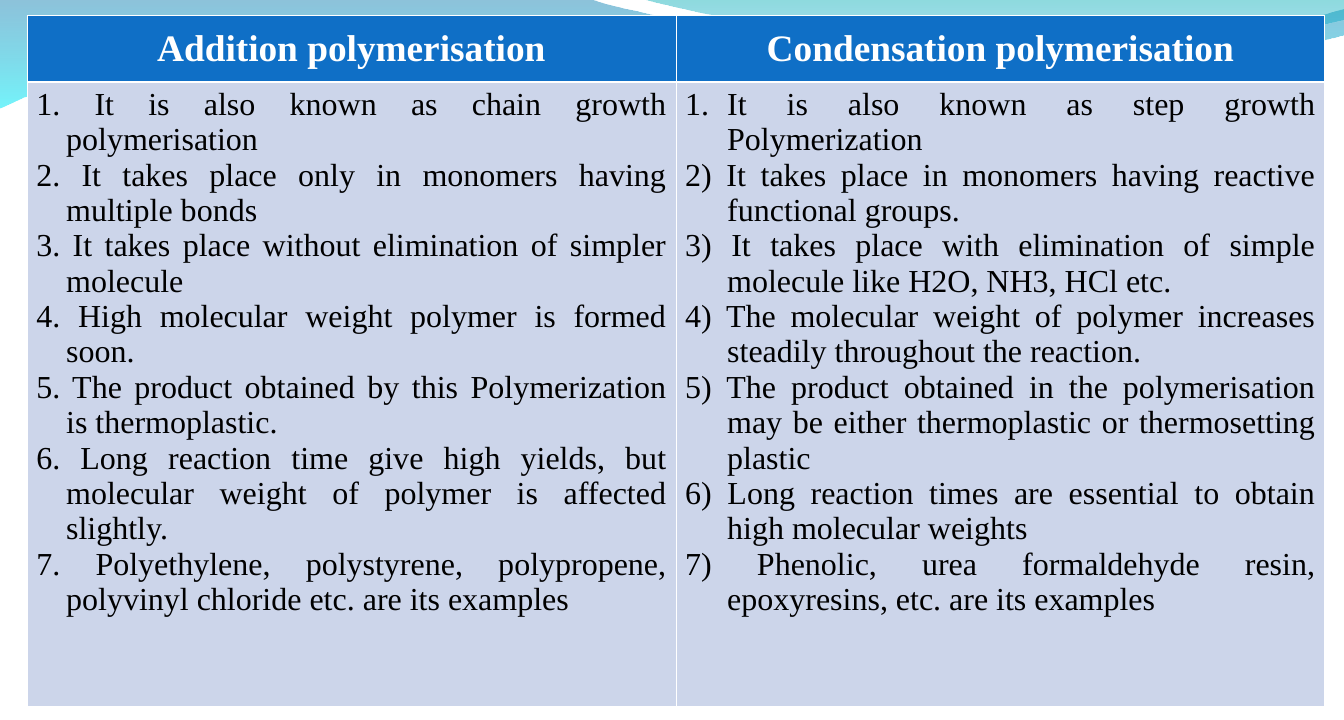
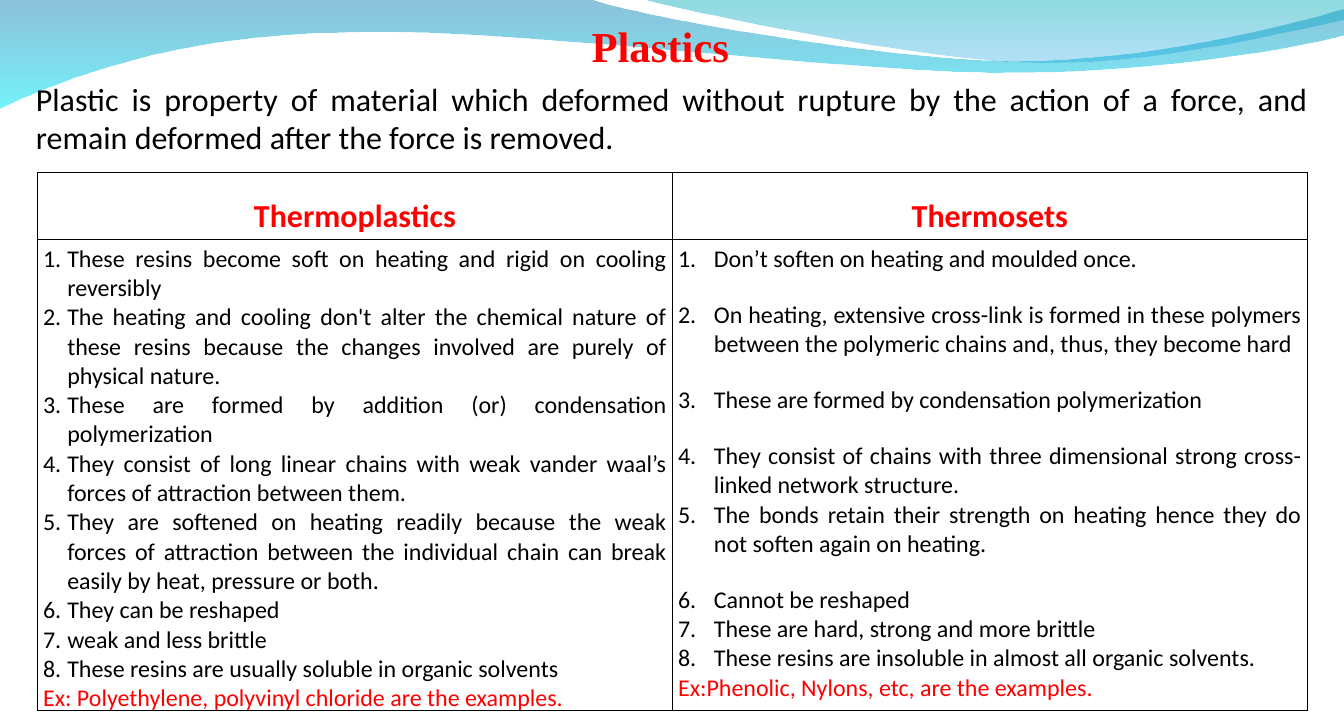
"""Build two slides comparing kinds of polymerisation and of plastics."""
from lxml.etree import SubElement
from pptx import Presentation
from pptx.dml.color import RGBColor
from pptx.enum.text import MSO_ANCHOR, MSO_AUTO_SIZE, PP_ALIGN
from pptx.oxml import parse_xml
from pptx.oxml.ns import nsdecls, qn
from pptx.util import Cm, Pt

WIDE, HIGH = 35.56, 19.05
BLACK, WHITE, RED = "000000", "FFFFFF", "FF0000"
BLUE, PALE = "0F6FC6", "CCD5EA"
SERIF, SANS = "Times New Roman", "Calibri"
CENTER, JUST = PP_ALIGN.CENTER, PP_ALIGN.JUSTIFY

# Pairs are straight corners; sextets are cubic curves.
WAVES = [
    ([(0, -0.02), (15.65, -0.02),
      (16.92, 0.43, 23.6, 1.6, 26.97, 1.6),
      (30.33, 1.6, 34.09, 0.66, 35.56, 0.23), (35.59, 0.91),
      (34.98, 1.12, 30.94, 1.93, 26.52, 1.91),
      (22.12, 1.91, 13.56, 0.71, 9.14, 0.86),
      (4.6, 0.89, 1.63, 2.11, -0.03, 2.87)],
     [("0079AF", 45), ("00EBF8", 55)]),
    ([(17.04, -0.02),
      (18.11, 0.28, 24.26, 1.57, 27.33, 1.65),
      (30.43, 1.75, 34.19, 0.81, 35.56, 0.53), (35.56, 0)],
     [("00ADB6", 45), ("009BE5", 30)]),
]

GROWTH = {
    "at": (0.71, 0.41), "col": 17.17, "rows": (1.76, 16.52), "pad": 0.25,
    "font": SERIF, "sizes": (28, 24), "head": WHITE, "fills": (BLUE, PALE),
    "edge": WHITE, "rule": 1.47, "lead": 1, "anchor": MSO_ANCHOR.MIDDLE,
    "cols": [
        {"title": "Addition polymerisation", "hang": 0.79, "lines": [
            "1. It is also known as chain growth polymerisation",
            "2. It takes place only in monomers having multiple bonds",
            "3. It takes place without elimination of simpler molecule",
            "4. High molecular weight polymer is formed soon.",
            "5. The product obtained by this Polymerization is thermoplastic.",
            "6. Long reaction time give high yields, but molecular weight of polymer is affected slightly.",
            "7. Polyethylene, polystyrene, polypropene, polyvinyl chloride etc. are its examples"]},
        {"title": "Condensation polymerisation", "hang": 1.11, "auto": 1, "lines": [
            "It is also known as step growth Polymerization",
            "2) It takes place in monomers having reactive functional groups.",
            "3) It takes place with elimination of simple molecule like H2O, NH3, HCl etc.",
            "4) The molecular weight of polymer increases steadily throughout the reaction.",
            "5) The product obtained in the polymerisation may be either thermoplastic or thermosetting plastic",
            "6) Long reaction times are essential to obtain high molecular weights",
            "7) Phenolic, urea formaldehyde resin, epoxyresins, etc. are its examples"]},
    ],
}

RESINS = {
    "at": (0.99, 4.56), "col": 16.8, "rows": (1.52, 12.24), "pad": 0.15,
    "font": SANS, "sizes": (24, 18), "head": RED, "fills": (None, None),
    "edge": BLACK, "rule": 0.45, "lead": 1.5, "anchor": MSO_ANCHOR.TOP,
    "cols": [
        {"title": "Thermoplastics", "hang": 0.64, "auto": 8, "lines": [
            "These resins become soft on heating and rigid on cooling reversibly",
            "The heating and cooling don't alter the chemical nature of these resins because the changes involved are purely of physical nature.",
            "These are formed by addition (or) condensation polymerization",
            "They consist of long linear chains with weak vander waal’s forces of attraction between them.",
            "They are softened on heating readily because the weak forces of attraction between the individual chain can break easily by heat, pressure or both.",
            "They can be reshaped",
            "weak and less brittle",
            "These resins are usually soluble in organic solvents"],
         "note": "Ex: Polyethylene, polyvinyl chloride are the examples."},
        {"title": "Thermosets", "hang": 0.95, "auto": 8, "gaps": (1, 2, 3, 5), "lines": [
            "Don’t soften on heating and moulded once.",
            "On heating, extensive cross-link is formed in these polymers between the polymeric chains and, thus, they become hard",
            "These are formed by condensation polymerization",
            "They consist of chains with three dimensional strong cross- linked network structure.",
            "The bonds retain their strength on heating hence they do not soften again on heating.",
            "Cannot be reshaped",
            "These are hard, strong and more brittle",
            "These resins are insoluble in almost all organic solvents."],
         "note": "Ex:Phenolic, Nylons, etc, are the examples."},
    ],
}

TEXTS = [
    ("Plastic is property of material which deformed without rupture by the action of a force, and remain deformed after the force is removed.",
     (0.7, 1.98, 34.16, 2.29), JUST, SANS, 24, BLACK, False),
    ("Plastics", (15.19, 0.41, 4.57, 1.63), CENTER, SERIF, 32, RED, True),
]


def paint(code):
    """Turn a hex string into a colour."""
    return RGBColor.from_string(code)


def style(para, text, align, font, size, color, bold=False):
    """Write one paragraph and set its font."""
    para.text, para.alignment = text, align
    face = para.font
    face.name, face.size, face.bold = font, Pt(size), bold
    face.color.rgb = paint(color)


def bend(shape, parts):
    """Join each three points of a sextet into one cubic curve."""
    lines = iter(list(shape._element.iter(qn("a:lnTo"))))
    for part in parts:
        first = next(lines)
        if len(part) == 6:
            first.tag_name = None
            curve = parse_xml(f'<a:cubicBezTo {nsdecls("a")}/>')
            first.addprevious(curve)
            for line in (first, next(lines), next(lines)):
                curve.append(line[0])
                line.getparent().remove(line)


def wave(slide, parts, stops):
    """Draw one band with a see-through gradient."""
    start, *rest = parts
    spots = [(Cm(p[i]), Cm(p[i + 1])) for p in rest for i in range(0, len(p), 2)]
    pen = slide.shapes.build_freeform(*map(Cm, start))
    pen.add_line_segments(spots, close=True)
    shape = pen.convert_to_shape()
    bend(shape, rest)
    shape.shadow.inherit = False
    shape.line.fill.background()
    shape.fill.gradient()
    shape.fill.gradient_angle = 270
    for stop, (code, alpha) in zip(shape.fill.gradient_stops, stops):
        stop.color.rgb = paint(code)
    grad = shape._element.spPr.find(qn("a:gradFill"))
    for tone, (code, alpha) in zip(grad.iter(qn("a:srgbClr")), stops):
        SubElement(tone, qn("a:alpha")).set("val", str(alpha * 1000))


def label(slide, text, box, *look):
    """Add a wrapped text box."""
    shape = slide.shapes.add_textbox(*map(Cm, box))
    frame = shape.text_frame
    frame.word_wrap = True
    frame.auto_size = MSO_AUTO_SIZE.SHAPE_TO_FIT_TEXT
    style(frame.paragraphs[0], text, *look)


def border(cell, color, sides):
    """Set the left, right, top and bottom lines of a cell."""
    props = cell._tc.get_or_add_tcPr()
    for n, (side, width) in enumerate(zip("LRTB", sides)):
        props.insert(n, parse_xml(
            f'<a:ln{side} {nsdecls("a")} w="{Pt(width)}"><a:solidFill>'
            f'<a:srgbClr val="{color}"/></a:solidFill></a:ln{side}>'))


def number(para):
    """Give a paragraph an automatic number."""
    props = para._p.get_or_add_pPr()
    tone = SubElement(props, qn("a:buClr"))
    SubElement(tone, qn("a:srgbClr")).set("val", BLACK)
    SubElement(props, qn("a:buAutoNum")).set("type", "arabicPeriod")


def fill(frame, col, font, size):
    """Write the list of one column."""
    lines = [(text, BLACK) for text in col["lines"]]
    if "note" in col:
        lines.append((col["note"], RED))
    for n, (text, color) in enumerate(lines):
        para = frame.add_paragraph() if n else frame.paragraphs[0]
        props = para._p.get_or_add_pPr()
        props.set("marL", str(Cm(col["hang"])))
        props.set("indent", str(-Cm(col["hang"])))
        if n < col.get("auto", 0):
            number(para)
        if n in col.get("gaps", ()):
            para.space_before = Pt(20)
        style(para, text, JUST, font, size, color)


def grid(slide, data):
    """Add a two-column comparison table."""
    cols, rows = data["cols"], data["rows"]
    x, y = data["at"]
    table = slide.shapes.add_table(
        2, len(cols), Cm(x), Cm(y), Cm(data["col"] * len(cols)), Cm(sum(rows))).table
    table.horz_banding = table.first_row = False
    for row, high in zip(table.rows, rows):
        row.height = Cm(high)
    big, small = data["sizes"]
    for c, col in enumerate(cols):
        table.columns[c].width = Cm(data["col"])
        for r, code in enumerate(data["fills"]):
            cell = table.cell(r, c)
            cell.margin_left = cell.margin_right = Cm(data["pad"])
            if code:
                cell.fill.solid()
                cell.fill.fore_color.rgb = paint(code)
            else:
                cell.fill.background()
            ends = (0.45, data["rule"]) if r == 0 else (data["rule"], 0.45)
            border(cell, data["edge"], (0.45, 0.45, *ends))
        head = table.cell(0, c)
        head.vertical_anchor = data["anchor"]
        para = head.text_frame.paragraphs[0]
        para.line_spacing = float(data["lead"])
        style(para, col["title"], CENTER, data["font"], big, data["head"], True)
        fill(table.cell(1, c).text_frame, col, data["font"], small)


def main():
    """Build and save the slides."""
    deck = Presentation()
    deck.slide_width, deck.slide_height = Cm(WIDE), Cm(HIGH)
    for data, texts in ((GROWTH, []), (RESINS, TEXTS)):
        slide = deck.slides.add_slide(deck.slide_layouts[6])
        for parts, stops in WAVES:
            wave(slide, parts, stops)
        for item in texts:
            label(slide, *item)
        grid(slide, data)
    deck.save("out.pptx")


if __name__ == "__main__":
    main()
